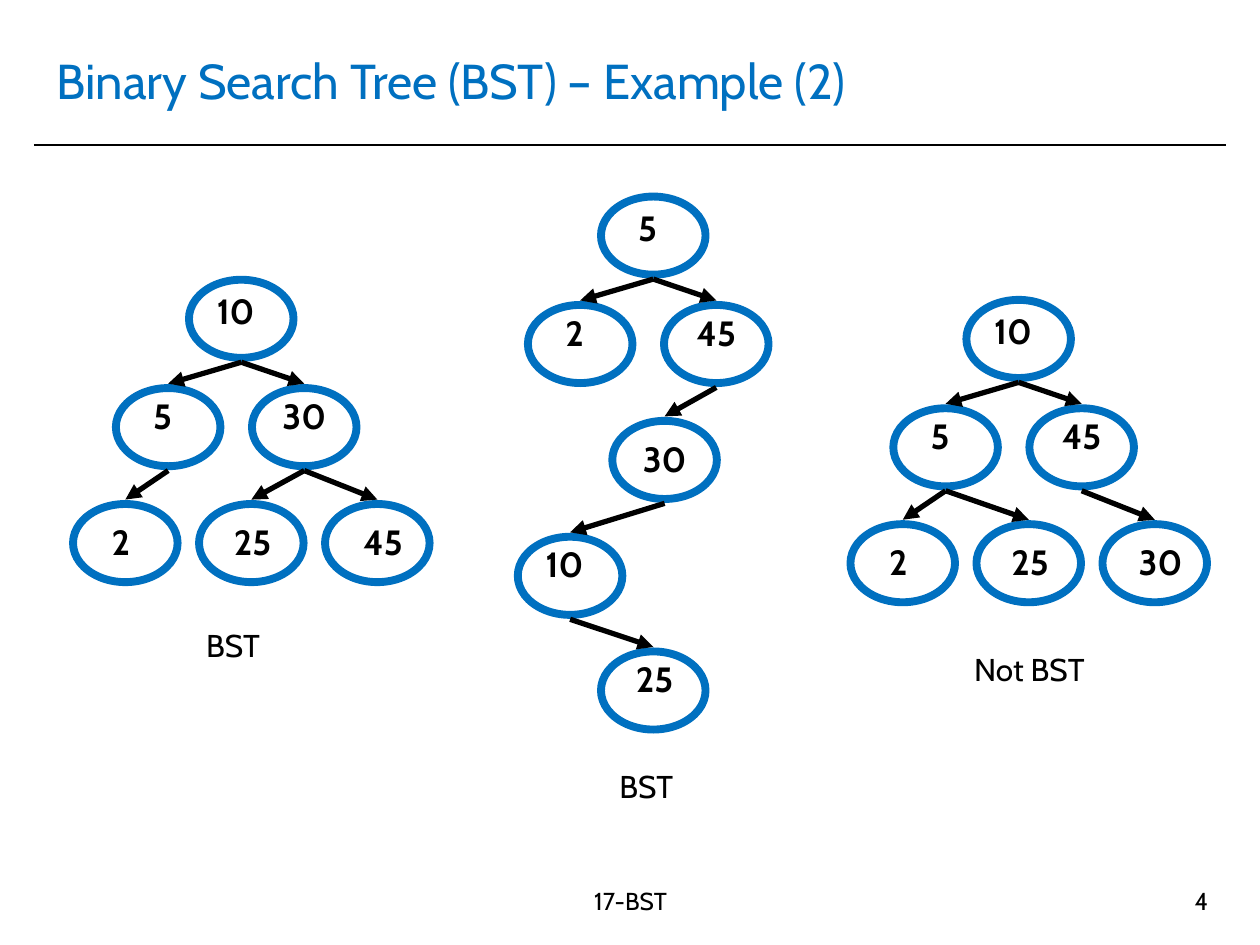
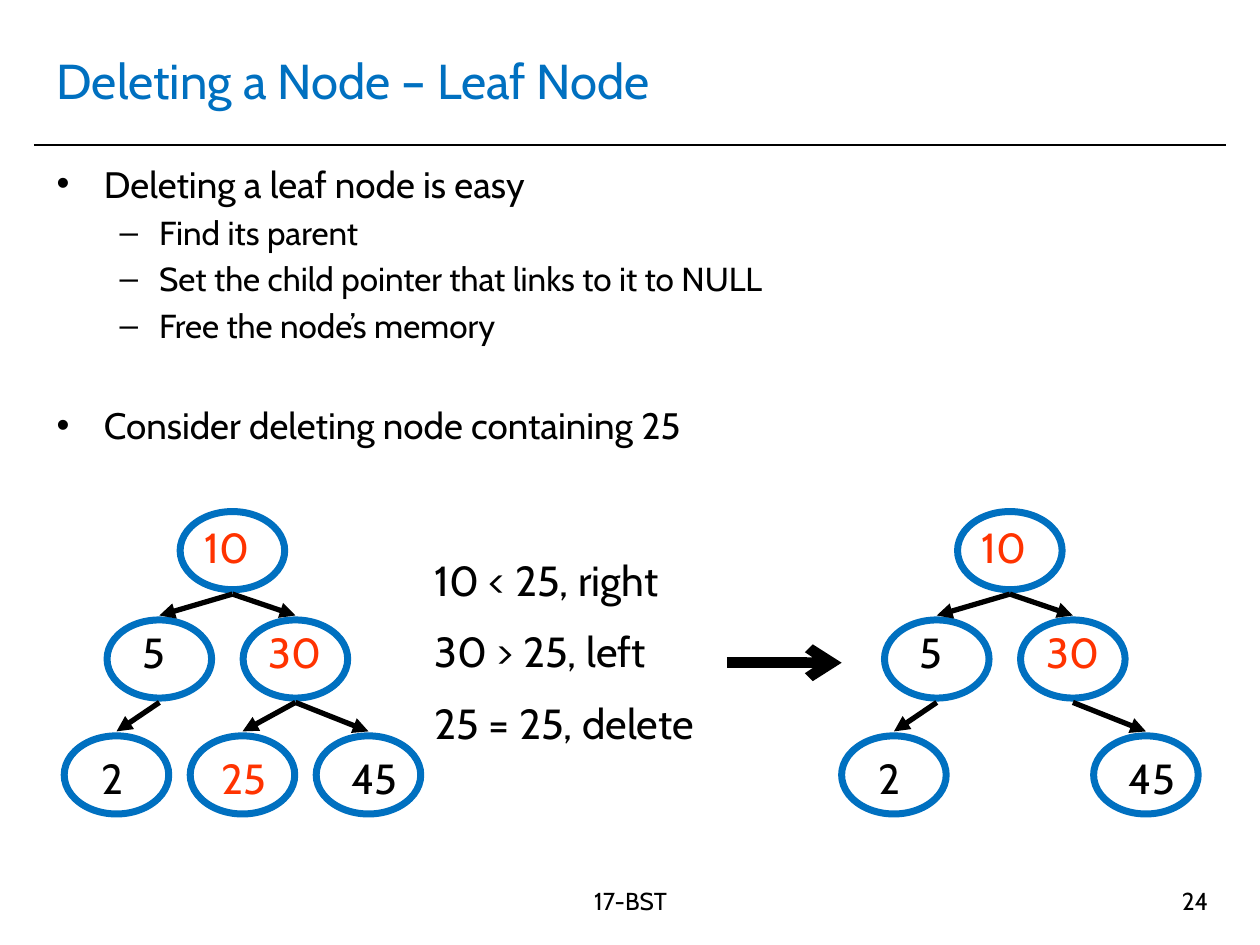
"""Build two slides on binary search trees."""
from lxml import etree
from pptx import Presentation
from pptx.dml.color import RGBColor
from pptx.enum.shapes import MSO_CONNECTOR, MSO_SHAPE
from pptx.enum.text import MSO_ANCHOR, MSO_AUTO_SIZE, PP_ALIGN
from pptx.oxml.ns import qn
from pptx.util import Inches, Pt

STRAIGHT, OVAL = MSO_CONNECTOR.STRAIGHT, MSO_SHAPE.OVAL
MIDDLE, TOP = MSO_ANCHOR.MIDDLE, MSO_ANCHOR.TOP
GROW, FIXED = MSO_AUTO_SIZE.SHAPE_TO_FIT_TEXT, MSO_AUTO_SIZE.NONE
LEFT, CENTER, RIGHT = PP_ALIGN.LEFT, PP_ALIGN.CENTER, PP_ALIGN.RIGHT

FONT, BLUE, BLACK, RED = "Cabin", "0070C0", "000000", "FF3300"
NODE_W, NODE_H, EDGE_GAP = 0.83, 0.62, 0.035
TITLE_ONLY, TITLE_AND_BODY = 5, 1

# slot: node x, y from the root, then label dx, dy and width
SLOTS = {
    "root": (0, 0, 0.08, 0.03, 0.58),
    "left": (-0.58, 0.86, 0.16, 0, 0.42),
    "right": (0.5, 0.86, 0.08, 0, 0.67),
    "leaf 1": (-0.92, 1.78, 0.17, 0.08, 0.42),
    "leaf 2": (0.08, 1.78, 0.09, 0.08, 0.67),
    "leaf 3": (1.08, 1.78, 0.17, 0.08, 0.58),
    "chain 1": (0.09, 1.78, 0.08, 0.08, 0.67),
    "chain 2": (-0.66, 2.7, 0.08, 0, 0.58),
    "chain 3": (0, 3.61, 0.09, 0, 0.67),
}

# slot: value, parent slot
BALANCED = {
    "root": ("10", None), "left": ("5", "root"), "right": ("30", "root"),
    "leaf 1": ("2", "left"), "leaf 2": ("25", "right"), "leaf 3": ("45", "right"),
}
CHAIN = {
    "root": ("5", None), "left": ("2", "root"), "right": ("45", "root"),
    "chain 1": ("30", "right"), "chain 2": ("10", "chain 1"), "chain 3": ("25", "chain 2"),
}
NOT_BST = {**BALANCED, "right": ("45", "root"), "leaf 2": ("25", "left"),
           "leaf 3": ("30", "right")}
AFTER_DELETE = {slot: node for slot, node in BALANCED.items() if slot != "leaf 2"}

EXAMPLES = [
    (BALANCED, (1.5, 2.22), "BST", (1.03, 4.92)),
    (NOT_BST, (7.67, 2.38), "Not BST", (7.35, 5.11)),
    (CHAIN, (4.77, 1.56), "BST", (4.31, 6.04)),
]
DELETION = [(BALANCED, (1.43, 4.06)), (AFTER_DELETE, (7.6, 4.06))]
SEARCH_PATH = {"10", "30", "25"}
EXAMPLE_STYLE = dict(size=20, bold=True, outline=4.5, label_h=0.44)
DELETION_STYLE = dict(size=24, bold=False, outline=4, label_h=0.5, marked=SEARCH_PATH)

# text, level, space before
STEPS = [
    ("Deleting a leaf node is easy", 0, 0),
    ("Find its parent", 1, 3.8),
    ("Set the child pointer that links to it to NULL", 1, 3.8),
    ("Free the node’s memory", 1, 3.8),
    ("Consider deleting node containing 25", 0, 33),
]
STEP_SIZES = (21, 19)
COMPARISONS = ["10 < 25, right", "30 > 25, left", "25 = 25, delete"]


def rgb(color):
    """Turn a hex string into a colour."""
    return RGBColor.from_string(color)


def add_run(p, text, size, color=BLACK, bold=False):
    """Add a formatted run to a paragraph."""
    r = p.add_run()
    r.text = text
    r.font.name, r.font.size, r.font.bold = FONT, Pt(size), bold
    r.font.color.rgb = rgb(color)


def place(sp, x, y, w, h):
    """Move and size a shape."""
    sp.left, sp.top, sp.width, sp.height = map(Inches, (x, y, w, h))


def add_text(shapes, box, lines, size, color=BLACK, bold=False, align=CENTER,
             gap=0, fit=GROW):
    """Add a text box with one paragraph per line."""
    tf = shapes.add_textbox(*map(Inches, box)).text_frame
    tf.word_wrap, tf.auto_size = True, fit
    for i, line in enumerate(lines):
        p = tf.add_paragraph() if i else tf.paragraphs[0]
        p.alignment = align
        p.space_before = Pt(gap if i else 0)
        add_run(p, line, size, color, bold)


def add_line(shapes, start, end, width, head=None):
    """Add a black straight connector, with an arrowhead if given."""
    cx = shapes.add_connector(STRAIGHT, *map(Inches, (*start, *end)))
    cx.line.color.rgb, cx.line.width = rgb(BLACK), Pt(width)
    if head:
        tail = etree.SubElement(cx.line._get_or_add_ln(), qn("a:tailEnd"))
        tail.set("type", head)
    etree.SubElement(cx._element.spPr, qn("a:effectLst"))


def add_tree(slide, nodes, origin, size, bold, outline, label_h, marked=()):
    """Draw a grouped tree with its root node at origin."""
    shapes = slide.shapes.add_group_shape().shapes
    at = {slot: (origin[0] + SLOTS[slot][0], origin[1] + SLOTS[slot][1]) for slot in nodes}
    for x, y in at.values():
        sp = shapes.add_shape(OVAL, *map(Inches, (x, y, NODE_W, NODE_H)))
        sp.shadow.inherit = False
        sp.fill.background()
        sp.line.color.rgb, sp.line.width = rgb(BLUE), Pt(outline)
    for slot, (value, parent) in nodes.items():
        x, y = at[slot]
        if parent:
            px, py = at[parent]
            add_line(shapes, (px + NODE_W / 2, py + NODE_H + EDGE_GAP),
                     (x + NODE_W / 2, y - EDGE_GAP), 3, "triangle")
        dx, dy, w = SLOTS[slot][2:]
        add_text(shapes, (x + dx, y + dy, w, label_h), [value], size,
                 RED if value in marked else BLACK, bold)


def add_slide(prs, layout, title, number):
    """Add a slide with title, rule, footer and number."""
    slide = prs.slides.add_slide(prs.slide_layouts[layout])
    add_line(slide.shapes, (0.27, 1.15), (9.73, 1.15), 1)
    sp = slide.shapes.title
    place(sp, 0.35, 0.21, 9.29, 0.85)
    tf = sp.text_frame
    tf.vertical_anchor, tf.auto_size = MIDDLE, FIXED
    p = tf.paragraphs[0]
    p.alignment = LEFT
    add_run(p, title, 28, BLUE)
    add_text(slide.shapes, (3.35, 6.98, 3.31, 0.52), ["17-BST"], 14, fit=FIXED)
    add_text(slide.shapes, (7.36, 6.98, 2.33, 0.52), [number], 14, align=RIGHT, fit=FIXED)
    return slide


def add_steps(slide):
    """Fill the body placeholder with the bulleted steps."""
    sp = slide.placeholders[1]
    place(sp, 0.35, 1.23, 9.29, 1.73)
    tf = sp.text_frame
    tf.vertical_anchor, tf.auto_size = TOP, FIXED
    for i, (text, level, gap) in enumerate(STEPS):
        p = tf.add_paragraph() if i else tf.paragraphs[0]
        p.level, p.space_before = level, Pt(gap)
        add_run(p, text, STEP_SIZES[level])


def main():
    """Build and save the slides."""
    prs = Presentation()
    prs.slide_width, prs.slide_height = Inches(10), Inches(7.5)

    slide = add_slide(prs, TITLE_ONLY, "Binary Search Tree (BST) – Example (2)", "4")
    for nodes, origin, verdict, corner in EXAMPLES:
        add_tree(slide, nodes, origin, **EXAMPLE_STYLE)
        add_text(slide.shapes, (*corner, 1.64, 0.4), [verdict], 18)

    slide = add_slide(prs, TITLE_AND_BODY, "Deleting a Node – Leaf Node", "24")
    add_steps(slide)
    for nodes, origin in DELETION:
        add_tree(slide, nodes, origin, **DELETION_STYLE)
    add_text(slide.shapes, (3.35, 4.35, 2.5, 1.72), COMPARISONS, 24, align=LEFT, gap=12)
    add_line(slide.shapes, (5.77, 5.26), (6.68, 5.26), 6, "arrow")

    prs.save("out.pptx")


if __name__ == "__main__":
    main()
